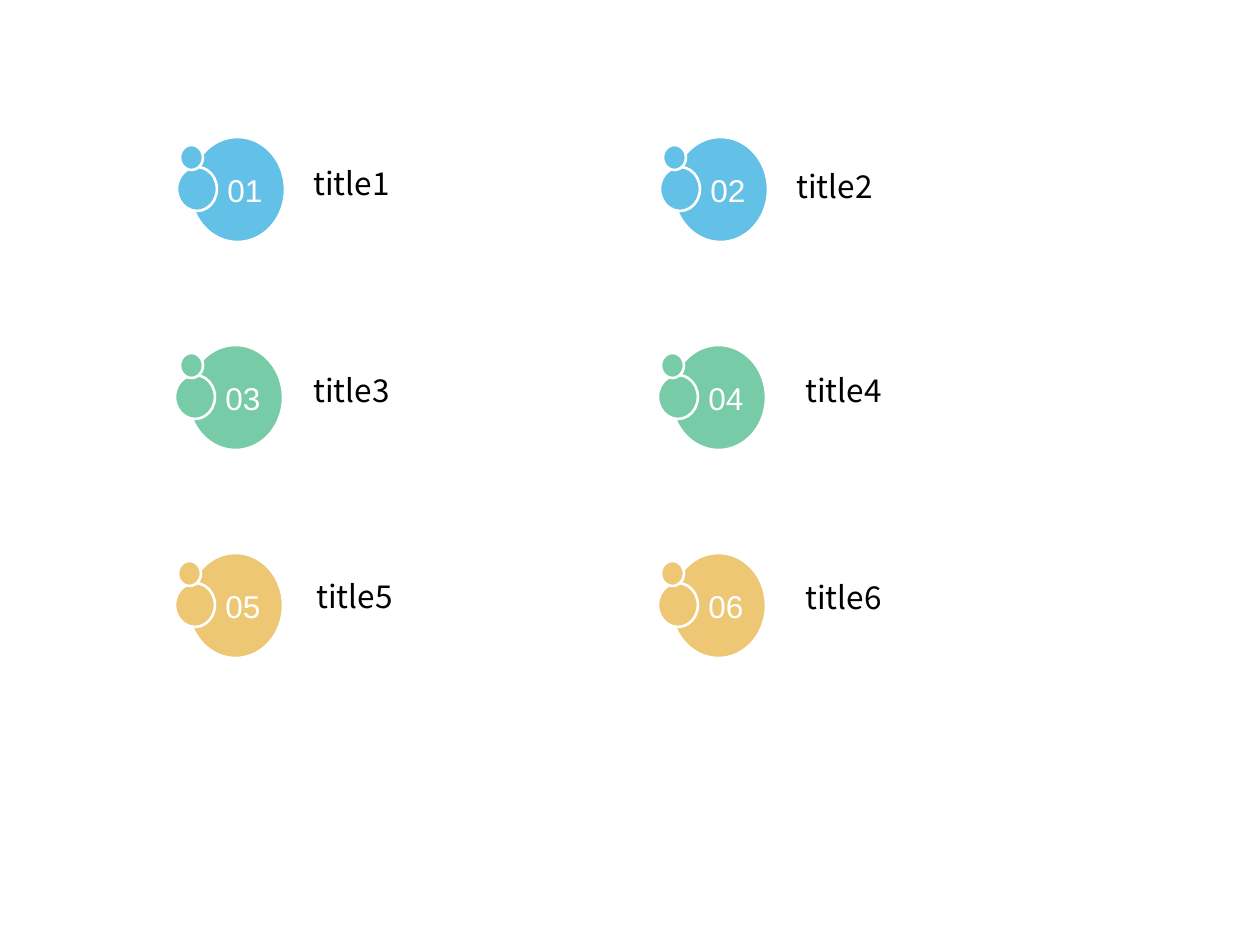
"""Build a slide of six numbered, titled bubble badges in two columns."""
from pptx import Presentation
from pptx.dml.color import RGBColor
from pptx.enum.shapes import MSO_SHAPE
from pptx.enum.text import MSO_ANCHOR, PP_ALIGN
from pptx.util import Pt

PX = 914400 // 126
WHITE, BLUE, GREEN, YELLOW = "FFFFFF", "63C1E7", "77CBA7", "EDC773"

ITEMS = [
    {"number": "01", "title": "title1", "color": BLUE, "shift": 2, "dot_shift": 0, "title_box": (301, 158, 343, 188)},
    {"number": "02", "title": "title2", "color": BLUE, "shift": 2, "dot_shift": 0, "title_box": (784, 161, 343, 158)},
    {"number": "03", "title": "title3", "color": GREEN, "shift": 0, "dot_shift": 2, "title_box": (301, 365, 343, 193)},
    {"number": "04", "title": "title4", "color": GREEN, "shift": 0, "dot_shift": 0, "title_box": (793, 365, 343, 178)},
    {"number": "05", "title": "title5", "color": YELLOW, "shift": 0, "dot_shift": 0, "title_box": (304, 571, 343, 174)},
    {"number": "06", "title": "title6", "color": YELLOW, "shift": 0, "dot_shift": 0, "title_box": (793, 572, 343, 175)},
]
COLUMNS = 2
LEFT, TOP = 175, 137
COLUMN_PITCH, ROW_PITCH = 483, 208
MAIN, MIDDLE, DOT = (13, 0, 95, 105), (0, 30, 40, 44), (3, 8, 23, 25)

NUMBER_FRAME = {"margin_left": 15 * PX, "margin_top": 0, "margin_right": 0, "margin_bottom": 0,
                "vertical_anchor": MSO_ANCHOR.MIDDLE, "word_wrap": True}
TITLE_FRAME = {"word_wrap": True}
NUMBER_FONT = {"name": "Arial", "size": Pt(18)}
TITLE_FONT = {"name": "Noto Sans CJK SC", "size": Pt(18)}


def rgb(color):
    return RGBColor.from_string(color)


def scaled(box):
    return [length * PX for length in box]


def apply(target, values):
    for key, value in values.items():
        setattr(target, key, value)


def write(shape, text, frame_format, font_format, color, align):
    frame = shape.text_frame
    apply(frame, frame_format)
    paragraph = frame.paragraphs[0]
    paragraph.alignment = align
    run = paragraph.add_run()
    run.text = text
    apply(run.font, font_format)
    run.font.color.rgb = rgb(color)


def add_bubble(shapes, x, y, box, color):
    left, top, width, height = box
    bubble = shapes.add_shape(MSO_SHAPE.OVAL, *scaled((x + left, y + top, width, height)))
    bubble.shadow.inherit = False
    bubble.fill.solid()
    bubble.fill.fore_color.rgb = rgb(color)
    bubble.line.color.rgb = rgb(WHITE)
    bubble.line.width = Pt(1.5)
    return bubble


def add_item(slide, index, item):
    row, column = divmod(index, COLUMNS)
    x = LEFT + column * COLUMN_PITCH + item["shift"]
    y = TOP + row * ROW_PITCH
    shapes = slide.shapes.add_group_shape().shapes
    main = add_bubble(shapes, x, y, MAIN, item["color"])
    write(main, item["number"], NUMBER_FRAME, NUMBER_FONT, WHITE, PP_ALIGN.CENTER)
    add_bubble(shapes, x, y, MIDDLE, item["color"])
    add_bubble(shapes, x + item["dot_shift"], y, DOT, item["color"])
    title = shapes.add_textbox(*scaled(item["title_box"]))
    write(title, item["title"], TITLE_FRAME, TITLE_FONT, "000000", PP_ALIGN.LEFT)


def main():
    deck = Presentation()
    deck.slide_width, deck.slide_height = scaled((1260, 945))
    slide = deck.slides.add_slide(deck.slide_layouts[6])
    for index, item in enumerate(ITEMS):
        add_item(slide, index, item)
    deck.save("out.pptx")


if __name__ == "__main__":
    main()
